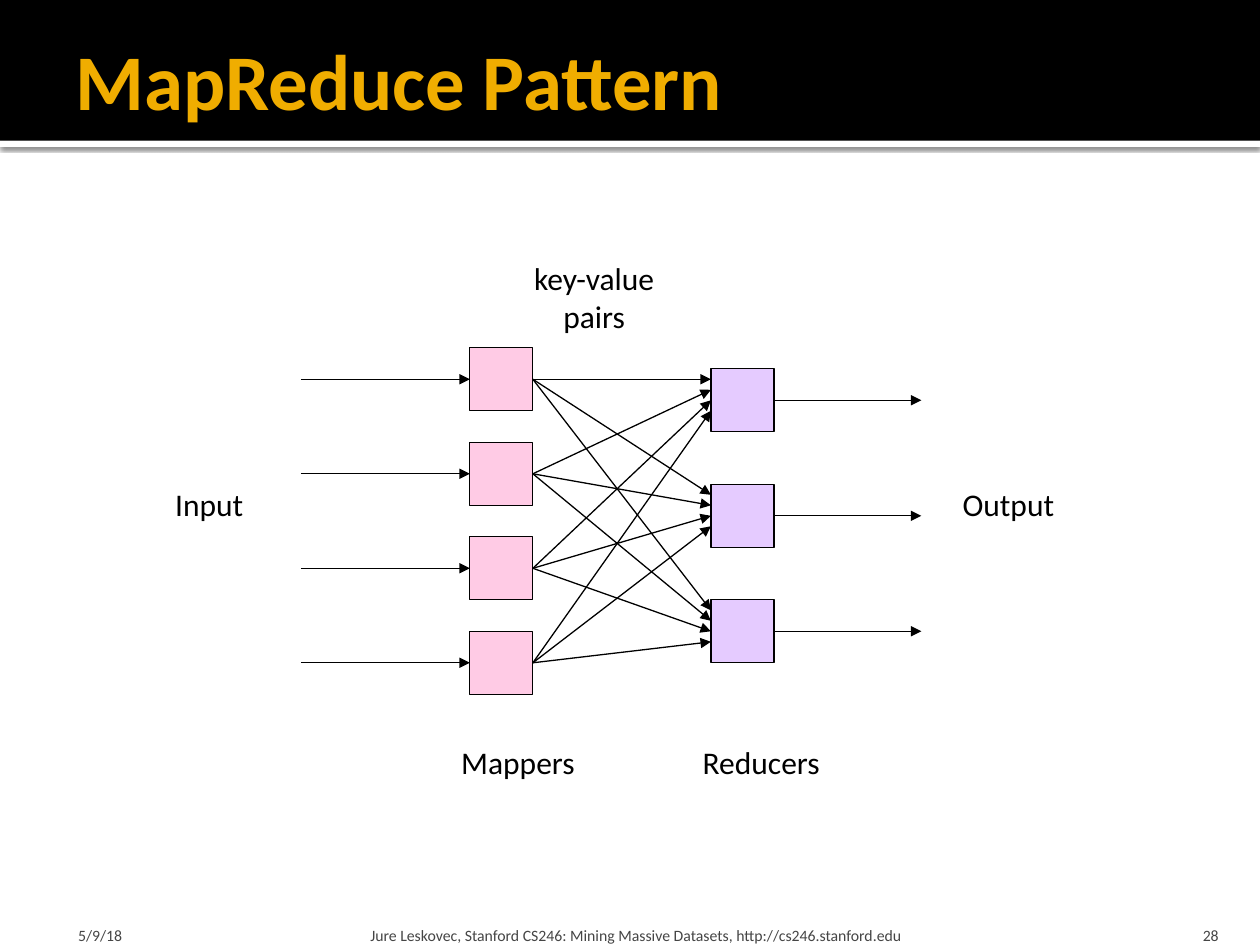
from lxml.etree import SubElement
from pptx import Presentation
from pptx.dml.color import RGBColor
from pptx.enum.shapes import MSO_CONNECTOR, MSO_SHAPE
from pptx.enum.text import MSO_ANCHOR, PP_ALIGN
from pptx.oxml.ns import qn
from pptx.util import Pt

COLORS = {
    "white": "FFFFFF",
    "black": "000000",
    "title": "F0AD00",
    "mapper": "FF99CC",
    "reducer": "CC99FF",
    "footer": "454545",
}
NODE = 36
MAPPERS, REDUCERS = 4, 3


def rgb(name):
    return RGBColor.from_string(COLORS[name])


def add_text(slide, text, box, size=18, color="black", bold=False, wrap=False,
             align=PP_ALIGN.LEFT, anchor=MSO_ANCHOR.TOP, insets=(7.2, 3.6, 7.2, 3.6)):
    """Place text, one paragraph per line, in box (left, top, width, height)."""
    frame = slide.shapes.add_textbox(*map(Pt, box)).text_frame
    frame.word_wrap = wrap
    frame.vertical_anchor = anchor
    (frame.margin_left, frame.margin_top,
     frame.margin_right, frame.margin_bottom) = map(Pt, insets)
    frame.text = text
    for paragraph in frame.paragraphs:
        paragraph.alignment = align
        font = paragraph.font
        font.name, font.size, font.bold = "Calibri", Pt(size), bold
        font.color.rgb = rgb(color)


def add_rect(slide, box, fill, outlined=False, alpha=None):
    rect = slide.shapes.add_shape(MSO_SHAPE.RECTANGLE, *map(Pt, box))
    rect.shadow.inherit = False
    rect.fill.solid()
    rect.fill.fore_color.rgb = rgb(fill)
    if alpha is not None:
        fill_color = rect.fill._xPr.find(qn("a:solidFill"))[0]
        SubElement(fill_color, qn("a:alpha"), val=str(alpha * 1000))
    if outlined:
        rect.line.color.rgb = rgb("black")
        rect.line.width = Pt(0.75)
    else:
        rect.line.fill.background()
    return rect


def add_arrow(slide, start, end):
    arrow = slide.shapes.add_connector(MSO_CONNECTOR.STRAIGHT, *map(Pt, (*start, *end)))
    arrow.line.color.rgb = rgb("black")
    arrow.line.width = Pt(0.75)
    SubElement(arrow.line._get_or_add_ln(), qn("a:tailEnd"), type="triangle")
    SubElement(arrow._element.spPr, qn("a:effectLst"))


def add_header(slide, left, top, width, height):
    rule = add_rect(slide, (left, top + height, width, 3.6), "white")
    effects = rule._element.spPr.find(qn("a:effectLst"))
    shadow = SubElement(effects, qn("a:outerShdw"), blurRad=str(Pt(2.5)),
                        dist=str(Pt(0.8)), dir="5400000", rotWithShape="0")
    shadow_color = SubElement(shadow, qn("a:srgbClr"), val=COLORS["black"])
    SubElement(shadow_color, qn("a:alpha"), val="60000")
    add_rect(slide, (left, top, width, height), "black")
    add_text(slide, "MapReduce Pattern", (left + 36, top + 12.24, width - 72, 66.24),
             size=45, color="title", bold=True, wrap=True, anchor=MSO_ANCHOR.MIDDLE,
             insets=(7.2, 3.6, 3.6, 3.6))


def add_node_column(slide, left, top, step, count, fill):
    """Stack square nodes and return their top edges."""
    tops = [top + step * row for row in range(count)]
    for node_top in tops:
        add_rect(slide, (left, node_top, NODE, NODE), fill, outlined=True, alpha=50)
    return tops


def add_diagram(slide, left, top, width, height):
    mapper_left, reducer_left = left + 175.5, left + 313.25
    input_left, output_right = left + 79, left + 433.5
    mapper_right, reducer_right = mapper_left + NODE, reducer_left + NODE
    mapper_tops = add_node_column(slide, mapper_left, top + 54, 54, MAPPERS, "mapper")
    reducer_tops = add_node_column(slide, reducer_left, top + 66, 66, REDUCERS, "reducer")

    for index, mapper_top in enumerate(mapper_tops):
        middle = mapper_top + NODE / 2
        add_arrow(slide, (input_left, middle), (mapper_left, middle))
        for reducer_top in reducer_tops:
            add_arrow(slide, (mapper_right, middle),
                      (reducer_left, reducer_top + 6 * (index + 1)))
    for reducer_top in reducer_tops:
        middle = reducer_top + NODE / 2
        add_arrow(slide, (reducer_right, middle), (output_right, middle))

    label_top, side_top = top + height - 29, top + 129
    add_text(slide, "Input", (left, side_top, 54, 29))
    add_text(slide, "Output", (left + width - 69, side_top, 69, 29))
    add_text(slide, "Mappers", (left + 163.5, label_top, 80, 29))
    add_text(slide, "Reducers", (left + 301.5, label_top, 83.5, 29))
    add_text(slide, "key-value\npairs", (left + 205, top, 83, 51), align=PP_ALIGN.CENTER)


def add_footer(slide, left, top, width, height):
    style = dict(size=9, color="footer", wrap=True, anchor=MSO_ANCHOR.BOTTOM)
    add_text(slide, "5/9/18", (left, top, 168, height),
             insets=(8.64, 3.6, 3.6, 0), **style)
    add_text(slide,
             "Jure Leskovec, Stanford CS246: Mining Massive Datasets, http://cs246.stanford.edu",
             (left + 172, top, 433.5, height), insets=(3.6, 3.6, 3.6, 0), **style)
    add_text(slide, "28", (left + width - 57.6, top, 57.6, height),
             align=PP_ALIGN.RIGHT, insets=(7.2, 3.6, 7.2, 0), **style)


def main():
    presentation = Presentation()
    presentation.slide_width, presentation.slide_height = Pt(720), Pt(540)
    slide = presentation.slides.add_slide(presentation.slide_layouts[6])
    add_header(slide, 0, 0, 720, 80.4)
    add_diagram(slide, 93, 144.75, 519, 305.5)
    add_footer(slide, 36, 518.4, 667.5, 21.6)
    presentation.save("out.pptx")


if __name__ == "__main__":
    main()
